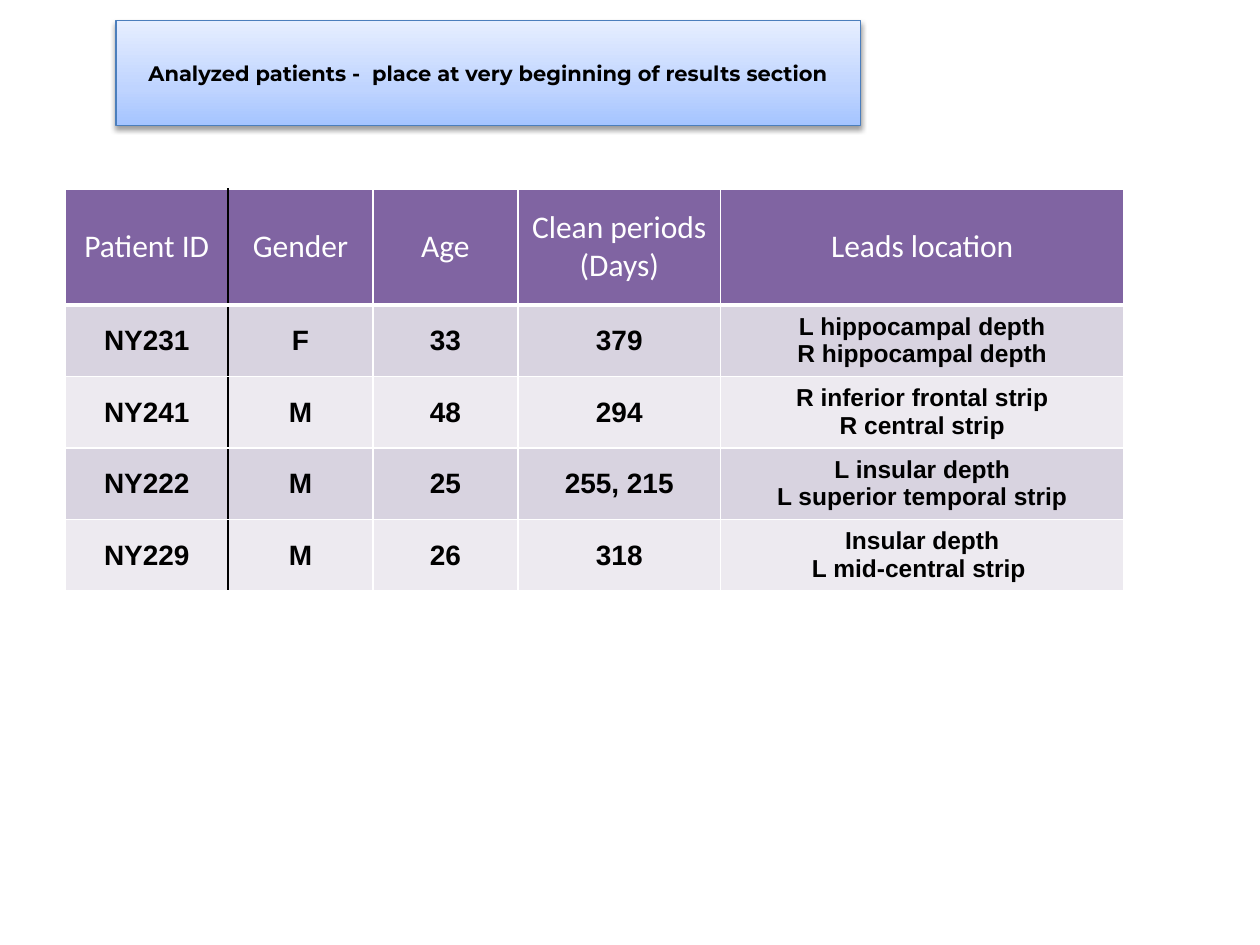
from lxml.etree import SubElement
from pptx import Presentation
from pptx.dml.color import RGBColor
from pptx.enum.text import MSO_ANCHOR, MSO_AUTO_SIZE, PP_ALIGN
from pptx.oxml.ns import qn
from pptx.util import Inches, Pt

COLUMN_WIDTHS = [1.29, 1.15, 1.15, 1.61, 3.2]
ROW_HEIGHTS = [0.92] + [0.53] * 4
HEADINGS = ["Patient ID", "Gender", "Age", "Clean periods\n(Days)", "Leads location"]
PATIENTS = [
    ["NY231", "F", "33", "379", "L hippocampal depth\nR hippocampal depth"],
    ["NY241", "M", "48", "294", "R inferior frontal strip\nR central strip"],
    ["NY222", "M", "25", "255, 215", "L insular depth\nL superior temporal strip"],
    ["NY229", "M", "26", "318", "Insular depth\nL mid-central strip "],
]
HEADER_FILL = "8064A2"
BAND_FILLS = ["D8D3E0", "EDEAF0"]
TITLE_GRADIENT = [(0, "A4C4FF"), (35, "BFD4FF"), (100, "E6EEFF")]


def color(hex_code):
    """Turn a hex string into a colour."""
    return RGBColor.from_string(hex_code)


def write(frame, text, font="Arial", size=16, bold=True, ink="000000"):
    """Fill a text frame with centred, formatted paragraphs."""
    frame.text = text
    for paragraph in frame.paragraphs:
        paragraph.alignment = PP_ALIGN.CENTER
        for run in paragraph.runs:
            run.font.name = font
            run.font.size = Pt(size)
            run.font.bold = bold
            run.font.color.rgb = color(ink)


def add_hex(parent, hex_code):
    """Add a colour element below an XML parent."""
    return SubElement(parent, qn("a:srgbClr"), val=hex_code)


def set_border(cell, side, hex_code, points):
    """Draw one side of a cell."""
    edge = SubElement(cell._tc.get_or_add_tcPr(), qn(f"a:ln{side}"), w=str(Pt(points)))
    add_hex(SubElement(edge, qn("a:solidFill")), hex_code)


def style_gradient(banner):
    """Give the banner its vertical gradient."""
    banner.fill.gradient()
    banner.fill.gradient_angle = 90
    stops = banner._element.spPr.find(".//" + qn("a:gsLst"))
    for stop in list(stops):
        stops.remove(stop)
    for position, hex_code in TITLE_GRADIENT:
        add_hex(SubElement(stops, qn("a:gs"), pos=str(position * 1000)), hex_code)


def style_shadow(banner):
    """Give the banner a soft shadow below."""
    effects = SubElement(banner._element.spPr, qn("a:effectLst"))
    shadow = SubElement(effects, qn("a:outerShdw"), blurRad=str(Pt(3.1)),
                        dist=str(Pt(1.6)), dir="5400000", rotWithShape="0")
    SubElement(add_hex(shadow, "000000"), qn("a:alpha"), val="38000")


def format_title(banner):
    """Place and style the slide title as a banner."""
    banner.left, banner.top = Inches(0.92), Inches(0.43)
    banner.width, banner.height = Inches(5.91), Inches(0.3)
    style_gradient(banner)
    banner.line.color.rgb = color("4B7EBC")
    banner.line.width = Pt(0.75)
    style_shadow(banner)
    write(banner.text_frame,
          "Analyzed patients -  place at very beginning of results section",
          font="Montserrat", size=12)
    banner.text_frame.word_wrap = False
    banner.text_frame.auto_size = MSO_AUTO_SIZE.SHAPE_TO_FIT_TEXT


def format_cell(cell, row, column, text):
    """Write one cell with its borders, margins and fill."""
    is_header, is_leads = row == 0, column == len(HEADINGS) - 1
    set_border(cell, "L", "000000" if column == 1 else "FFFFFF", 1)
    set_border(cell, "R", "000000" if column == 0 else "FFFFFF", 1)
    set_border(cell, "T", "FFFFFF", 1)
    set_border(cell, "B", "FFFFFF", 3 if is_header else 1)
    cell.fill.solid()
    cell.fill.fore_color.rgb = color(HEADER_FILL if is_header else BAND_FILLS[(row - 1) % 2])
    cell.vertical_anchor = MSO_ANCHOR.MIDDLE
    if is_header:
        write(cell.text_frame, text, font="Calibri", size=18, bold=False, ink="FFFFFF")
        return
    write(cell.text_frame, text, size=14 if is_leads else 16)
    if not is_leads:
        cell.margin_left = cell.margin_right = cell.margin_top = Inches(0.01)
        cell.margin_bottom = 0


def add_patient_table(slide):
    """Add the table of analyzed patients."""
    frame = slide.shapes.add_table(
        len(ROW_HEIGHTS), len(COLUMN_WIDTHS), Inches(0.52), Inches(1.5),
        Inches(sum(COLUMN_WIDTHS)), Inches(sum(ROW_HEIGHTS)))
    table = frame.table
    for column, width in zip(table.columns, COLUMN_WIDTHS):
        column.width = Inches(width)
    for row, height in zip(table.rows, ROW_HEIGHTS):
        row.height = Inches(height)
    for row, entries in enumerate([HEADINGS] + PATIENTS):
        for column, text in enumerate(entries):
            format_cell(table.cell(row, column), row, column, text)


def main():
    """Build and save the slide."""
    deck = Presentation()
    deck.slide_width, deck.slide_height = Inches(10), Inches(7.5)
    slide = deck.slides.add_slide(deck.slide_layouts[5])
    add_patient_table(slide)
    format_title(slide.shapes.title)
    deck.save("out.pptx")


if __name__ == "__main__":
    main()
